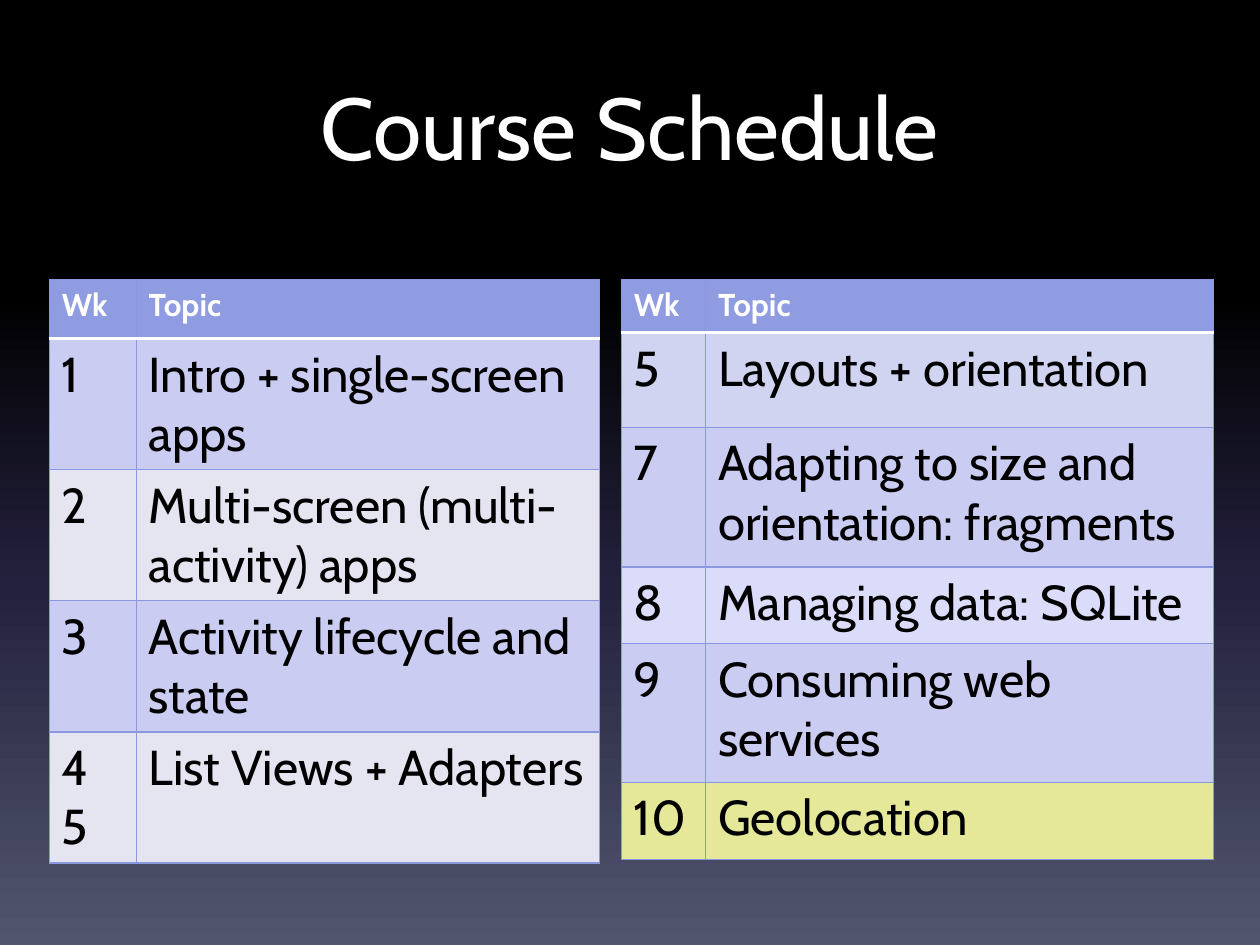
from lxml import etree
from pptx import Presentation
from pptx.dml.color import RGBColor
from pptx.enum import text
from pptx.oxml import ns
from pptx.util import Inches, Pt

BLACK = RGBColor(0x00, 0x00, 0x00)
WHITE = RGBColor(0xFF, 0xFF, 0xFF)
NIGHT = RGBColor(0x24, 0x21, 0x3E)
SLATE = RGBColor(0x51, 0x56, 0x6D)
HEADER = RGBColor(0x90, 0x9C, 0xE1)
BORDER = RGBColor(0x8B, 0x97, 0xDE)
LAVENDER = RGBColor(0xCB, 0xCC, 0xF2)
PALE = RGBColor(0xE5, 0xE4, 0xF1)
MIST = RGBColor(0xD1, 0xD4, 0xF1)
LILAC = RGBColor(0xDA, 0xDC, 0xF9)
YELLOW = RGBColor(0xE5, 0xE7, 0x99)


def write(frame, words, size, color, bold=False, align=text.PP_ALIGN.LEFT):
    """Fill a text frame, one paragraph per line of words."""
    frame.text = words
    for para in frame.paragraphs:
        para.alignment = align
        for span in para.runs:
            span.font.name = "Cabin"
            span.font.size = Pt(size)
            span.font.bold = bold
            span.font.color.rgb = color


def add_border(cell, side, color, width):
    """Draw one side (L, R, T or B) of a table cell."""
    props = cell._tc.get_or_add_tcPr()
    line = etree.Element(ns.qn(f"a:ln{side}"), w=str(Pt(width)))
    fill = etree.SubElement(line, ns.qn("a:solidFill"))
    etree.SubElement(fill, ns.qn("a:srgbClr"), val=str(color))
    # Border lines come before the fill, in the order L, R, T, B
    props.insert("LRTB".index(side), line)


deck = Presentation()
deck.slide_width = Inches(10)
deck.slide_height = Inches(7.5)
page = deck.slides.add_slide(deck.slide_layouts[6])

# Background: black at the top, fading to slate
background = page.background.fill
background.gradient()
background.gradient_angle = 270
stop_list = background._fill._gradFill.find(ns.qn("a:gsLst"))
for stop in list(stop_list):
    stop_list.remove(stop)
for percent, color in [(0, BLACK), (31, BLACK), (62, NIGHT), (100, SLATE)]:
    stop = etree.SubElement(stop_list, ns.qn("a:gs"), pos=str(percent * 1000))
    etree.SubElement(stop, ns.qn("a:srgbClr"), val=str(color))

title = page.shapes.add_textbox(Inches(0.5), Inches(0.5), Inches(9), Inches(1.25))
title.text_frame.word_wrap = True
title.text_frame.margin_top = Inches(0.08)
write(title.text_frame, "Course Schedule", 50, WHITE, align=text.PP_ALIGN.CENTER)

# Each schedule: left, column widths, header height, rows of (week, topic, fill, height)
schedules = [
    (0.39, (0.69, 3.68), 0.47, [
        ("1", "Intro + single-screen apps", LAVENDER, 1.04),
        ("2", "Multi-screen (multi-activity) apps", PALE, 1.04),
        ("3", "Activity lifecycle and state", LAVENDER, 1.04),
        ("4\n5", "List Views + Adapters", PALE, 1.04),
    ]),
    (4.93, (0.67, 4.03), 0.42, [
        ("5", "Layouts + orientation", MIST, 0.75),
        ("7", "Adapting to size and orientation: fragments", LAVENDER, 1.11),
        ("8", "Managing data: SQLite", LILAC, 0.61),
        ("9", "Consuming web services", LAVENDER, 1.1),
        ("10", "Geolocation", YELLOW, 0.61),
    ]),
]

for left, widths, header_height, topics in schedules:
    rows = [("Wk", "Topic", HEADER, header_height)] + topics
    total_height = sum(row[-1] for row in rows)
    table = page.shapes.add_table(len(rows), 2, Inches(left), Inches(2.22),
                                  Inches(sum(widths)), Inches(total_height)).table
    for column, width in zip(table.columns, widths):
        column.width = Inches(width)
    for r, (week, topic, fill, height) in enumerate(rows):
        table.rows[r].height = Inches(height)
        is_header = r == 0
        for c, words in enumerate((week, topic)):
            cell = table.cell(r, c)
            cell.fill.solid()
            cell.fill.fore_color.rgb = fill
            write(cell.text_frame, words, 18 if is_header else 28,
                  WHITE if is_header else BLACK, bold=is_header)
            for side in "LRTB":
                under_header = (r, side) in [(0, "B"), (1, "T")]
                add_border(cell, side, WHITE if under_header else BORDER,
                           2 if under_header else 0.75)

deck.save("out.pptx")
